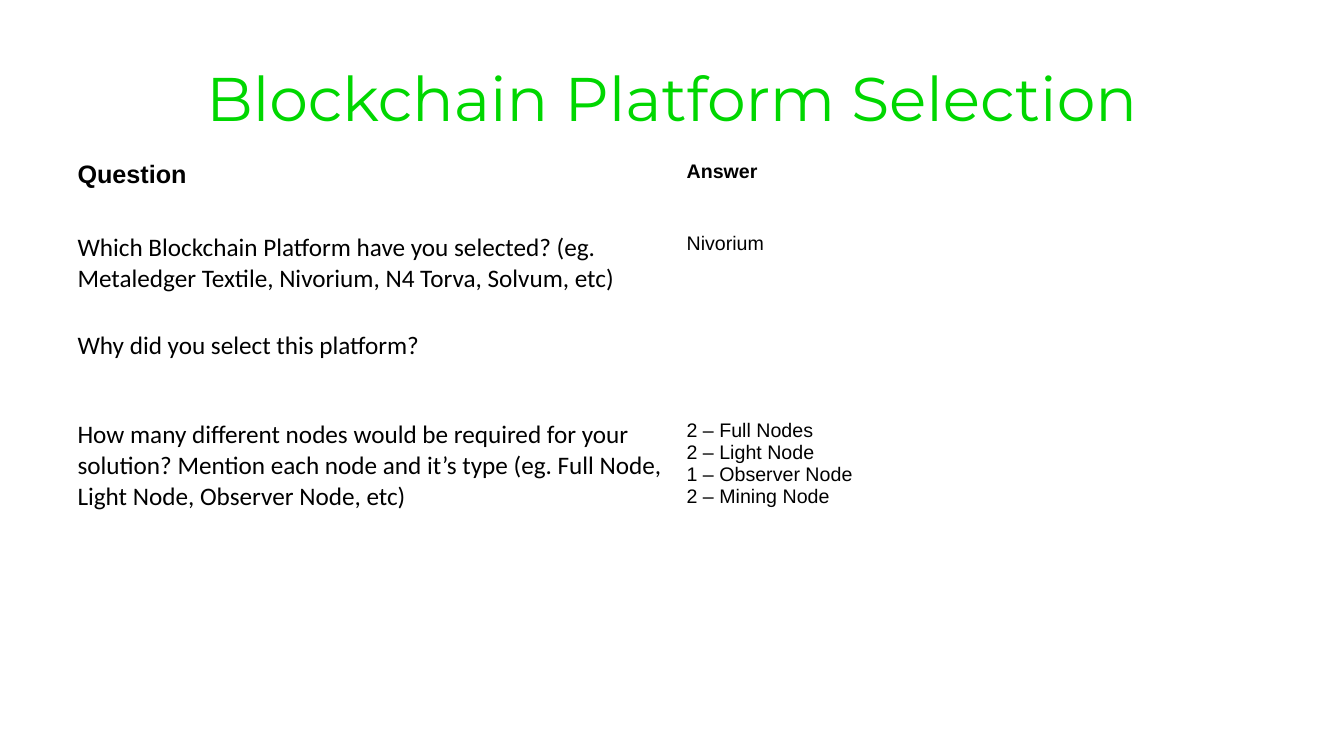
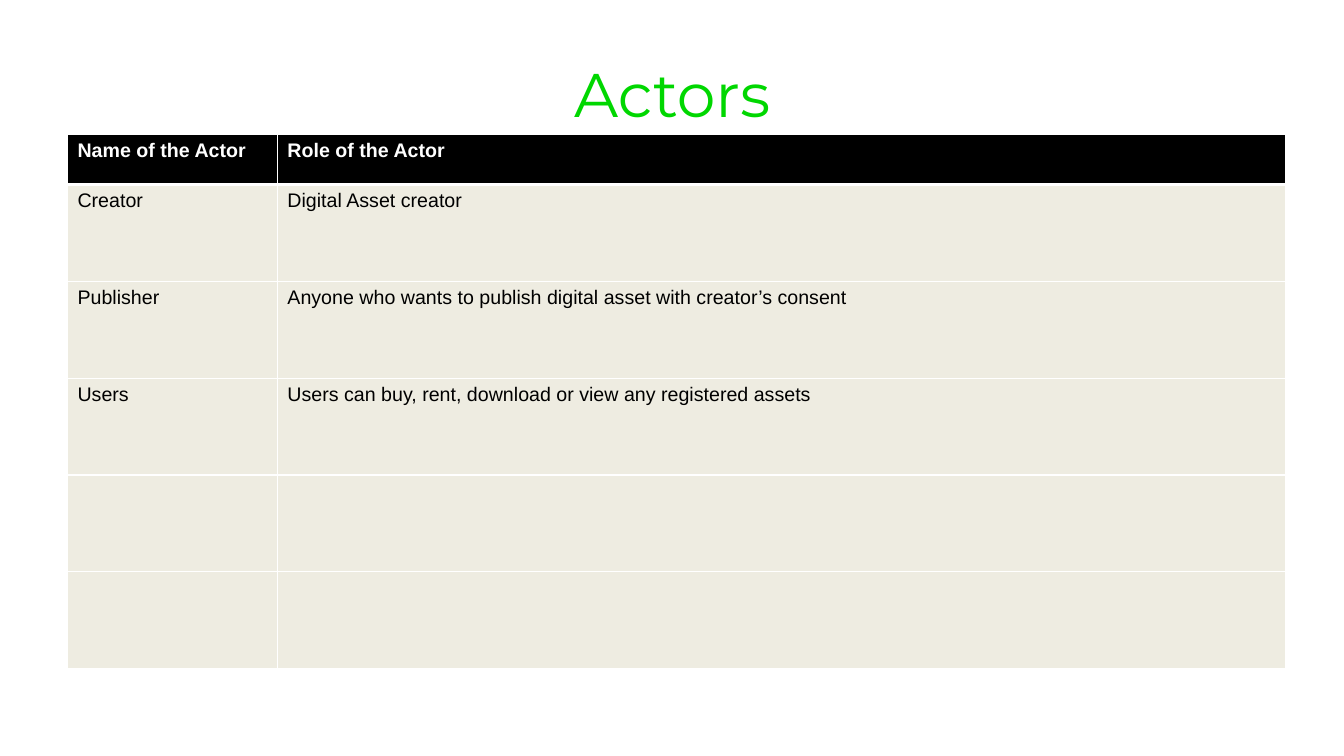
from dataclasses import dataclass

from lxml.etree import SubElement
from pptx import Presentation
from pptx.dml.color import RGBColor
from pptx.enum.text import MSO_ANCHOR, MSO_AUTO_SIZE, PP_ALIGN
from pptx.oxml.ns import qn
from pptx.util import Cm, Pt


@dataclass(frozen=True)
class Theme:
    """Colours, fonts, type sizes and measures shared by the slides."""
    green: str = "00D700"
    black: str = "000000"
    white: str = "FFFFFF"
    cream: str = "EEECE1"
    title_font: str = "Montserrat"
    text_font: str = "Arial"
    question_font: str = "Calibri"
    title_size: int = 44
    large: int = 18
    small: int = 14
    rule: float = 0.96
    header_rule: float = 3
    left: float = 1.7
    title_width: float = 30.48
    title_height: float = 3.18


THEME = Theme()


@dataclass(frozen=True)
class Column:
    """One table column: heading, width in cm and type."""
    heading: str
    width: float
    size: int = THEME.small
    font: str = THEME.text_font


@dataclass(frozen=True)
class TableSlide:
    """A titled slide with one table; lengths in cm."""
    title: str
    title_top: float
    table_top: float
    columns: tuple[Column, ...]
    heights: tuple[float, ...]
    rows: tuple[tuple[str, str], ...]
    header_fill: str
    header_color: str
    body_fill: str


SLIDES = (
    TableSlide(
        title="Blockchain Platform Selection",
        title_top=0.85,
        table_top=3.93,
        columns=(Column("Question", 15.35, THEME.large, THEME.question_font),
                 Column("Answer", 15.35)),
        heights=(1.8, 2.46, 2.26, 5.73),
        rows=(
            ("Which Blockchain Platform have you selected? (eg. "
             "Metaledger Textile, Nivorium, N4 Torva, Solvum, etc)",
             "Nivorium"),
            ("Why did you select this platform?", ""),
            ("How many different nodes would be required for your solution? "
             "Mention each node and it’s type (eg. Full Node, Light Node, "
             "Observer Node, etc)",
             "2 – Full Nodes\n2 – Light Node\n"
             "1 – Observer Node\n2 – Mining Node"),
        ),
        header_fill=THEME.white,
        header_color=THEME.black,
        body_fill=THEME.white,
    ),
    TableSlide(
        title="Actors",
        title_top=0.75,
        table_top=3.39,
        columns=(Column("Name of the Actor", 5.29),
                 Column("Role of the Actor", 25.4)),
        heights=(1.26,) + (2.44,) * 5,
        rows=(
            ("Creator", "Digital Asset creator"),
            ("Publisher", "Anyone who wants to publish digital asset with "
                          "creator’s consent"),
            ("Users", "Users can buy, rent, download or view any "
                      "registered assets"),
            ("", ""),
            ("", ""),
        ),
        header_fill=THEME.black,
        header_color=THEME.white,
        body_fill=THEME.cream,
    ),
)


def set_text(tf, text: str, color: str, **font) -> None:
    """Write text and apply the font format to every run."""
    tf.text = text
    for p in tf.paragraphs:
        for r in p.runs:
            for name, value in font.items():
                setattr(r.font, name, value)
            r.font.color.rgb = RGBColor.from_string(color)


def set_borders(cell, top: float, bottom: float) -> None:
    """Draw white cell borders; widths in points."""
    widths = {"a:lnL": THEME.rule, "a:lnR": THEME.rule,
              "a:lnT": top, "a:lnB": bottom}
    tc_pr = cell._tc.get_or_add_tcPr()
    for tag, width in widths.items():
        ln = SubElement(tc_pr, qn(tag), w=str(Pt(width)))
        fill = SubElement(ln, qn("a:solidFill"))
        SubElement(fill, qn("a:srgbClr"), val=THEME.white)


def add_title(slide, text: str, top: float) -> None:
    """Place and format the title placeholder."""
    sp = slide.shapes.title
    box = {"left": THEME.left, "top": top,
           "width": THEME.title_width, "height": THEME.title_height}
    for name, value in box.items():
        setattr(sp, name, Cm(value))
    tf = sp.text_frame
    set_text(tf, text, THEME.green, name=THEME.title_font,
             size=Pt(THEME.title_size))
    frame = {"word_wrap": True, "auto_size": MSO_AUTO_SIZE.NONE,
             "vertical_anchor": MSO_ANCHOR.MIDDLE}
    for name, value in frame.items():
        setattr(tf, name, value)
    tf.paragraphs[0].alignment = PP_ALIGN.CENTER


def add_table(slide, data: TableSlide) -> None:
    """Add the table with its header row and body rows."""
    width = sum(c.width for c in data.columns)
    frame = slide.shapes.add_table(
        len(data.heights), len(data.columns), Cm(THEME.left),
        Cm(data.table_top), Cm(width), Cm(sum(data.heights)))
    table = frame.table
    table.horz_banding = False
    for row, height in zip(table.rows, data.heights):
        row.height = Cm(height)
    for i, column in enumerate(data.columns):
        table.columns[i].width = Cm(column.width)
        texts = (column.heading, *(row[i] for row in data.rows))
        for j, text in enumerate(texts):
            cell, header = table.cell(j, i), j == 0
            set_borders(cell,
                        top=THEME.header_rule if j == 1 else THEME.rule,
                        bottom=THEME.header_rule if header else THEME.rule)
            cell.fill.solid()
            cell.fill.fore_color.rgb = RGBColor.from_string(
                data.header_fill if header else data.body_fill)
            set_text(cell.text_frame, text,
                     data.header_color if header else THEME.black,
                     name=THEME.text_font if header else column.font,
                     size=Pt(column.size), bold=header)


def main() -> None:
    """Build and save the presentation."""
    prs = Presentation()
    prs.slide_width, prs.slide_height = Cm(33.87), Cm(19.05)
    title_only = prs.slide_layouts[5]
    for data in SLIDES:
        slide = prs.slides.add_slide(title_only)
        add_title(slide, data.title, data.title_top)
        add_table(slide, data)
    prs.save("out.pptx")


main()
